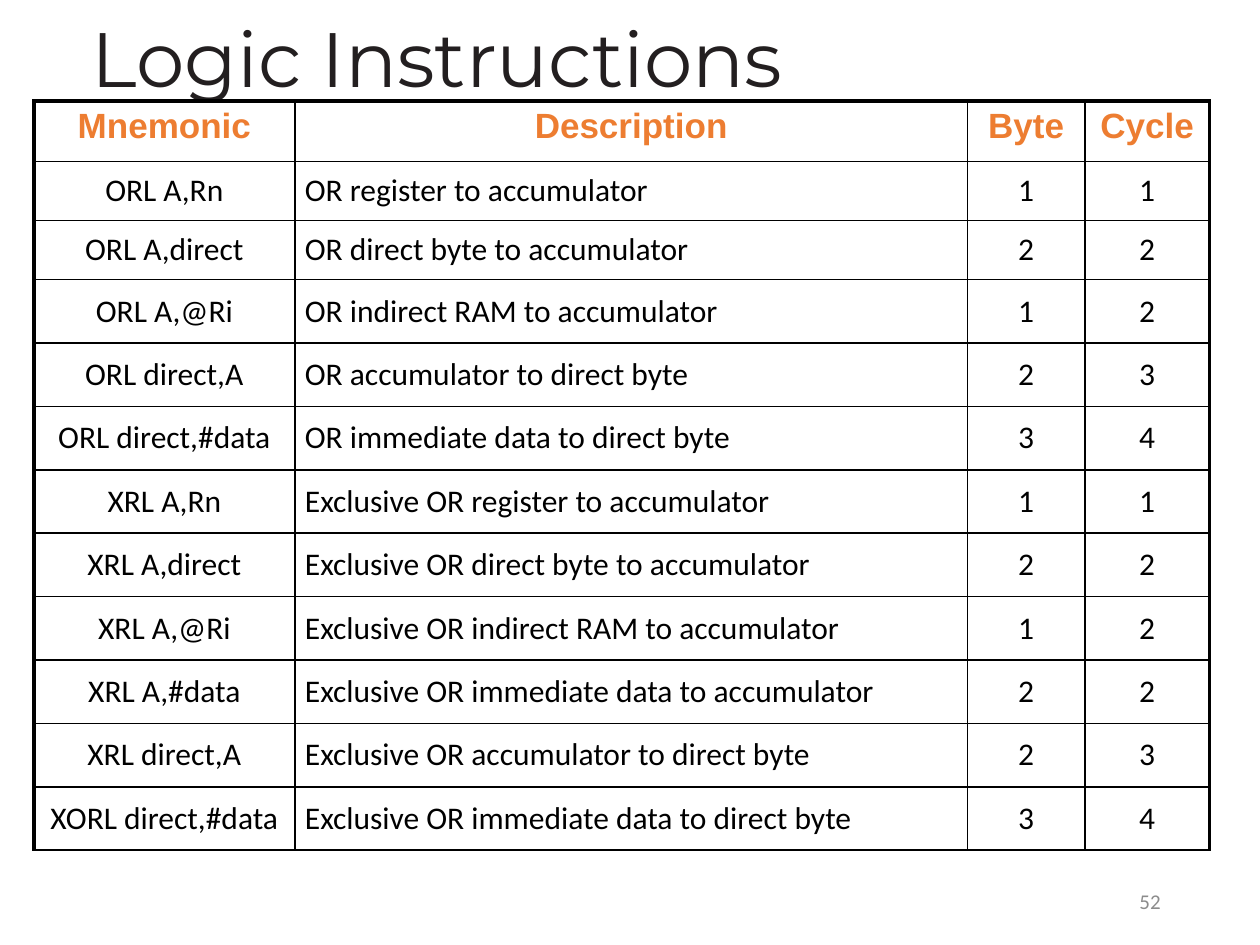
from lxml import etree
from pptx import Presentation
from pptx.dml.color import RGBColor
from pptx.enum import text as t
from pptx.oxml import ns
from pptx.util import Inches, Pt

# Content
TITLE = "Logic Instructions"
PAGE_NUMBER = "52"
HEADINGS = ("Mnemonic", "Description", "Byte", "Cycle")
INSTRUCTIONS = [
    ("ORL A,Rn", "OR register to accumulator", 1, 1),
    ("ORL A,direct", "OR direct byte to accumulator", 2, 2),
    ("ORL A,@Ri", "OR indirect RAM to accumulator", 1, 2),
    ("ORL direct,A", "OR accumulator to direct byte", 2, 3),
    ("ORL direct,#data", "OR immediate data to direct byte", 3, 4),
    ("XRL A,Rn", "Exclusive OR register to accumulator", 1, 1),
    ("XRL A,direct", "Exclusive OR direct byte to accumulator", 2, 2),
    ("XRL A,@Ri", "Exclusive OR indirect RAM to accumulator", 1, 2),
    ("XRL A,#data", "Exclusive OR immediate data to accumulator", 2, 2),
    ("XRL direct,A", "Exclusive OR accumulator to direct byte", 2, 3),
    ("XORL direct,#data", "Exclusive OR immediate data to direct byte", 3, 4),
]

# Theme: font, size, colour, bold
THEME = {
    "title": ("Montserrat", 44, "231F20", False),
    "heading": ("Arial", 20, "ED7D31", True),
    "body": ("Calibri", 18, "000000", False),
    "page": ("Calibri", 12, "8C8C8C", False),
    "border": "000000",
    "outer": 2.25,
    "inner": 1,
}

# Table layout
TABLE_LEFT, TABLE_TOP, TABLE_HEIGHT = 0.27, 0.8, 5.95
COLUMN_WIDTHS = (2.07, 5.34, 0.93, 0.99)
TOP_ROWS = [0.48, 0.47, 0.47]
other_rows = len(INSTRUCTIONS) + 1 - len(TOP_ROWS)
ROW_HEIGHTS = TOP_ROWS + [(TABLE_HEIGHT - sum(TOP_ROWS)) / other_rows] * other_rows


def write(frame, words, style, align):
    paragraph = frame.paragraphs[0]
    paragraph.text = str(words)
    paragraph.alignment = align
    font = paragraph.font
    name, size, colour, font.bold = THEME[style]
    font.name, font.size = name, Pt(size)
    font.color.rgb = RGBColor.from_string(colour)
    return paragraph


def add_label(slide, box, words, style, align):
    frame = slide.shapes.add_textbox(*map(Inches, box)).text_frame
    frame.word_wrap = True
    frame.vertical_anchor = t.MSO_ANCHOR.MIDDLE
    return write(frame, words, style, align)


def set_borders(cell, outer_sides):
    properties = cell._tc.get_or_add_tcPr()
    for side in "LRTB":
        width = THEME["outer" if side in outer_sides else "inner"]
        line = etree.SubElement(properties, ns.qn(f"a:ln{side}"), w=str(Pt(width)))
        fill = etree.SubElement(line, ns.qn("a:solidFill"))
        etree.SubElement(fill, ns.qn("a:srgbClr"), val=THEME["border"])


def fill_cell(cell, words, row, column):
    is_heading = row == 0
    justified = column == 1 and not is_heading
    write(cell.text_frame, words, "heading" if is_heading else "body",
          t.PP_ALIGN.JUSTIFY if justified else t.PP_ALIGN.CENTER)
    cell.vertical_anchor = t.MSO_ANCHOR.TOP if is_heading else t.MSO_ANCHOR.MIDDLE
    cell.margin_left = cell.margin_right = Inches(0.1 if is_heading else 0.08)
    cell.margin_top = cell.margin_bottom = Inches(0.05 if is_heading else 0.08)
    last_column = len(HEADINGS) - 1
    set_borders(cell, {"T" if is_heading else "",
                       {0: "L", last_column: "R"}.get(column, "")})
    cell.fill.background()


def add_instruction_table(slide):
    table = slide.shapes.add_table(
        len(ROW_HEIGHTS), len(COLUMN_WIDTHS), Inches(TABLE_LEFT), Inches(TABLE_TOP),
        Inches(sum(COLUMN_WIDTHS)), Inches(TABLE_HEIGHT)).table
    table.first_row = table.horz_banding = False
    for column, width in zip(table.columns, COLUMN_WIDTHS):
        column.width = Inches(width)
    for row, height in zip(table.rows, ROW_HEIGHTS):
        row.height = Inches(height)
    for r, entries in enumerate([HEADINGS, *INSTRUCTIONS]):
        for c, words in enumerate(entries):
            fill_cell(table.cell(r, c), words, r, c)


def main():
    deck = Presentation()
    deck.slide_width, deck.slide_height = Inches(10), Inches(7.5)
    slide = deck.slides.add_slide(deck.slide_layouts[6])

    # Title, instruction table, page number
    title = add_label(slide, (0.63, 0, 8.62, 0.99), TITLE, "title", t.PP_ALIGN.LEFT)
    title.line_spacing = 0.9
    add_instruction_table(slide)
    add_label(slide, (7.06, 6.95, 2.25, 0.4), PAGE_NUMBER, "page", t.PP_ALIGN.RIGHT)
    deck.save("out.pptx")


if __name__ == "__main__":
    main()
